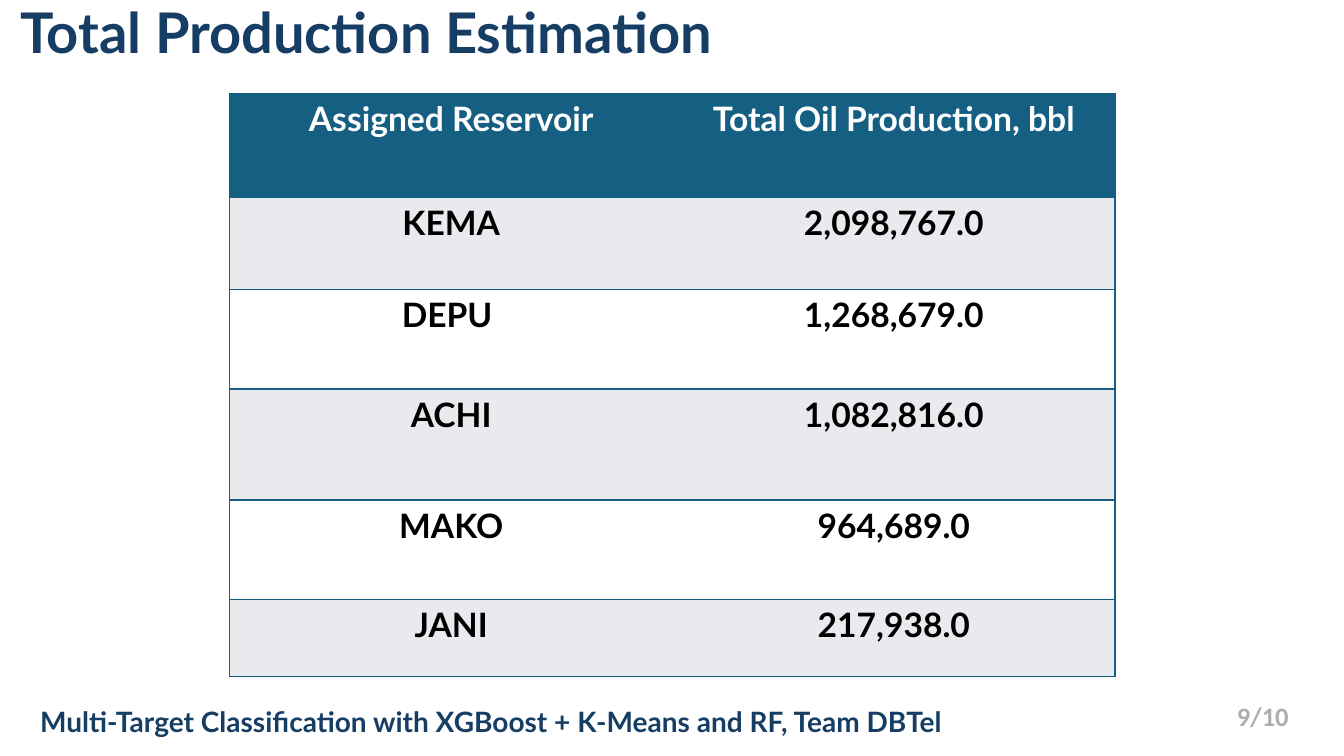
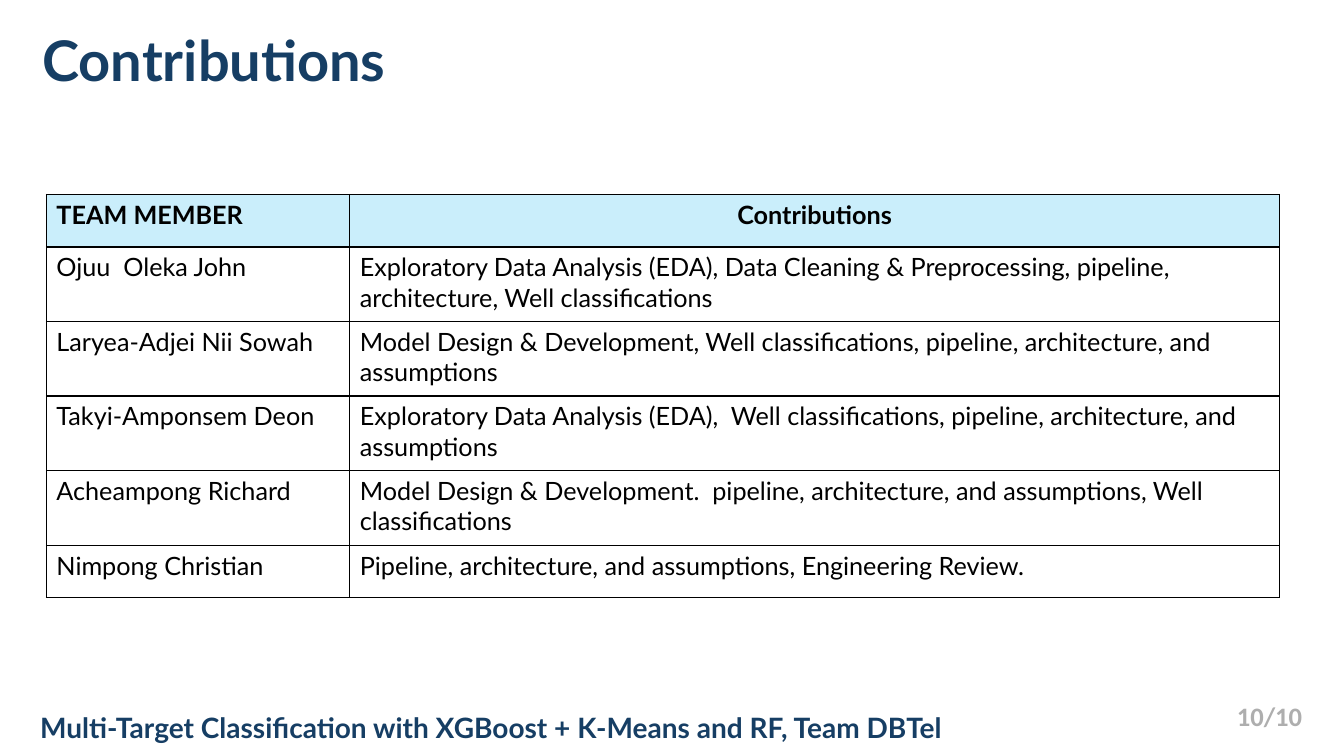
"""Build the production estimate and team contribution slides."""
from dataclasses import dataclass

from lxml import etree
from pptx import Presentation
from pptx.dml.color import RGBColor
from pptx.enum import text as t
from pptx.oxml import ns
from pptx.util import Inches, Pt

COLORS = {
    "navy": "163E64", "teal": "156082", "grey": "AEAEAE", "band": "E8EAED",
    "sky": "CAEEFB", "white": "FFFFFF", "black": "000000",
}
PAGE_COUNT = 10
FOOTER = "Multi-Target Classification with XGBoost + K‑Means and RF, Team DBTel"
FRAME_FORMAT = {
    "word_wrap": True,
    "auto_size": t.MSO_AUTO_SIZE.NONE,
    "vertical_anchor": t.MSO_ANCHOR.TOP,
}


@dataclass(frozen=True)
class TextStyle:
    size: int
    color: str
    bold: bool = True
    font: str = "Lato"
    align: t.PP_ALIGN = t.PP_ALIGN.LEFT


@dataclass(frozen=True)
class Grid:
    left: float
    top: float
    columns: tuple[float, ...]
    heights: tuple[float, ...]
    rows: tuple[tuple[str, str], ...]
    header_styles: tuple[TextStyle, TextStyle]
    body_style: TextStyle
    header_fill: str
    band_fills: tuple[str, str]
    border: str
    inner_vertical: bool


@dataclass(frozen=True)
class Page:
    number: int
    title: str
    title_box: tuple[float, float, float, float]
    footer_top: float
    grid: Grid


TITLE = TextStyle(40, "navy")
FOOTER_STYLE = TextStyle(20, "navy")
NUMBER_STYLE = TextStyle(19, "grey", font="Calibri")
CENTER = t.PP_ALIGN.CENTER
RESERVOIR_HEADER = TextStyle(24, "white", align=CENTER)

PRODUCTION = Grid(
    2.28, 0.93, (4.39, 4.39), (1.03, 0.91, 0.99, 1.1, 0.99, 0.76),
    (
        ("Assigned Reservoir", "Total Oil Production, bbl"),
        ("KEMA", "2,098,767.0"),
        ("DEPU ", "1,268,679.0"),
        ("ACHI", "1,082,816.0"),
        ("MAKO", "964,689.0"),
        ("JANI", "217,938.0"),
    ),
    (RESERVOIR_HEADER, RESERVOIR_HEADER), TextStyle(24, "black", align=CENTER),
    "teal", ("band", "white"), "teal", False,
)
CONTRIBUTIONS = Grid(
    0.46, 1.93, (3.01, 9.22), (0.52, *[0.74] * 4, 0.52),
    (
        ("TEAM MEMBER", "Contributions"),
        ("Ojuu  Oleka John",
         "Exploratory Data Analysis (EDA), Data Cleaning & Preprocessing, "
         "pipeline, architecture, Well classifications"),
        ("Laryea-Adjei Nii Sowah",
         "Model Design & Development, Well classifications, pipeline, "
         "architecture, and assumptions"),
        ("Takyi-Amponsem Deon",
         "Exploratory Data Analysis (EDA),  Well classifications, pipeline, "
         "architecture, and assumptions"),
        ("Acheampong Richard",
         "Model Design & Development.  pipeline, architecture, and "
         "assumptions, Well classifications"),
        ("Nimpong Christian",
         "Pipeline, architecture, and assumptions, Engineering Review."),
    ),
    (TextStyle(18, "black"), TextStyle(18, "black", align=CENTER)),
    TextStyle(18, "black", bold=False),
    "sky", ("white", "white"), "black", True,
)
PAGES = (
    Page(9, "Total Production Estimation", (0.1, -0.07, 7.48, 0.77), 6.94, PRODUCTION),
    Page(10, "Contributions", (0.32, 0.2, 3.87, 0.77), 7, CONTRIBUTIONS),
)


def rgb(name: str) -> RGBColor:
    return RGBColor.from_string(COLORS[name])


def write(frame, content: str, style: TextStyle) -> None:
    frame.text = content
    paragraph = frame.paragraphs[0]
    paragraph.alignment = style.align
    font = paragraph.runs[0].font
    values = {"name": style.font, "size": Pt(style.size), "bold": style.bold}
    for attribute, value in values.items():
        setattr(font, attribute, value)
    font.color.rgb = rgb(style.color)


def format_frame(frame) -> None:
    for attribute, value in FRAME_FORMAT.items():
        setattr(frame, attribute, value)


def add_label(slide, box: tuple[float, ...], content: str, style: TextStyle) -> None:
    frame = slide.shapes.add_textbox(*map(Inches, box)).text_frame
    format_frame(frame)
    write(frame, content, style)


def add_title(slide, page: Page) -> None:
    title = slide.shapes.title
    for side, value in zip(("left", "top", "width", "height"), page.title_box):
        setattr(title, side, Inches(value))
    format_frame(title.text_frame)
    write(title.text_frame, page.title, TITLE)


def set_borders(cell, color: str, hidden: str) -> None:
    properties = cell._tc.get_or_add_tcPr()
    for side in "LRTB":
        line = etree.SubElement(properties, ns.qn(f"a:ln{side}"), w=str(Pt(1)))
        if side == hidden:
            etree.SubElement(line, ns.qn("a:noFill"))
        else:
            solid = etree.SubElement(line, ns.qn("a:solidFill"))
            etree.SubElement(solid, ns.qn("a:srgbClr"), val=COLORS[color])


def add_grid(slide, grid: Grid) -> None:
    table = slide.shapes.add_table(
        len(grid.rows), len(grid.columns), Inches(grid.left), Inches(grid.top),
        Inches(sum(grid.columns)), Inches(sum(grid.heights)),
    ).table
    table.horz_banding = False
    for column, width in zip(table.columns, grid.columns):
        column.width = Inches(width)
    for row, height in zip(table.rows, grid.heights):
        row.height = Inches(height)
    for r, entries in enumerate(grid.rows):
        fill = grid.band_fills[(r - 1) % 2] if r else grid.header_fill
        for c, entry in enumerate(entries):
            cell = table.cell(r, c)
            hidden = "" if grid.inner_vertical else "RL"[c]
            set_borders(cell, grid.border, hidden)
            cell.fill.solid()
            cell.fill.fore_color.rgb = rgb(fill)
            style = grid.body_style if r else grid.header_styles[c]
            write(cell.text_frame, entry, style)


def add_page(deck, page: Page) -> None:
    slide = deck.slides.add_slide(deck.slide_layouts.get_by_name("Title Only"))
    add_title(slide, page)
    number = f"{page.number}/{PAGE_COUNT}"
    add_label(slide, (12.17, 6.89, 0.87, 0.42), number, NUMBER_STYLE)
    add_label(slide, (0.3, page.footer_top, 11.63, 0.44), FOOTER, FOOTER_STYLE)
    add_grid(slide, page.grid)


def main() -> None:
    deck = Presentation()
    deck.slide_width, deck.slide_height = Inches(13.33), Inches(7.5)
    for page in PAGES:
        add_page(deck, page)
    deck.save("out.pptx")


if __name__ == "__main__":
    main()
